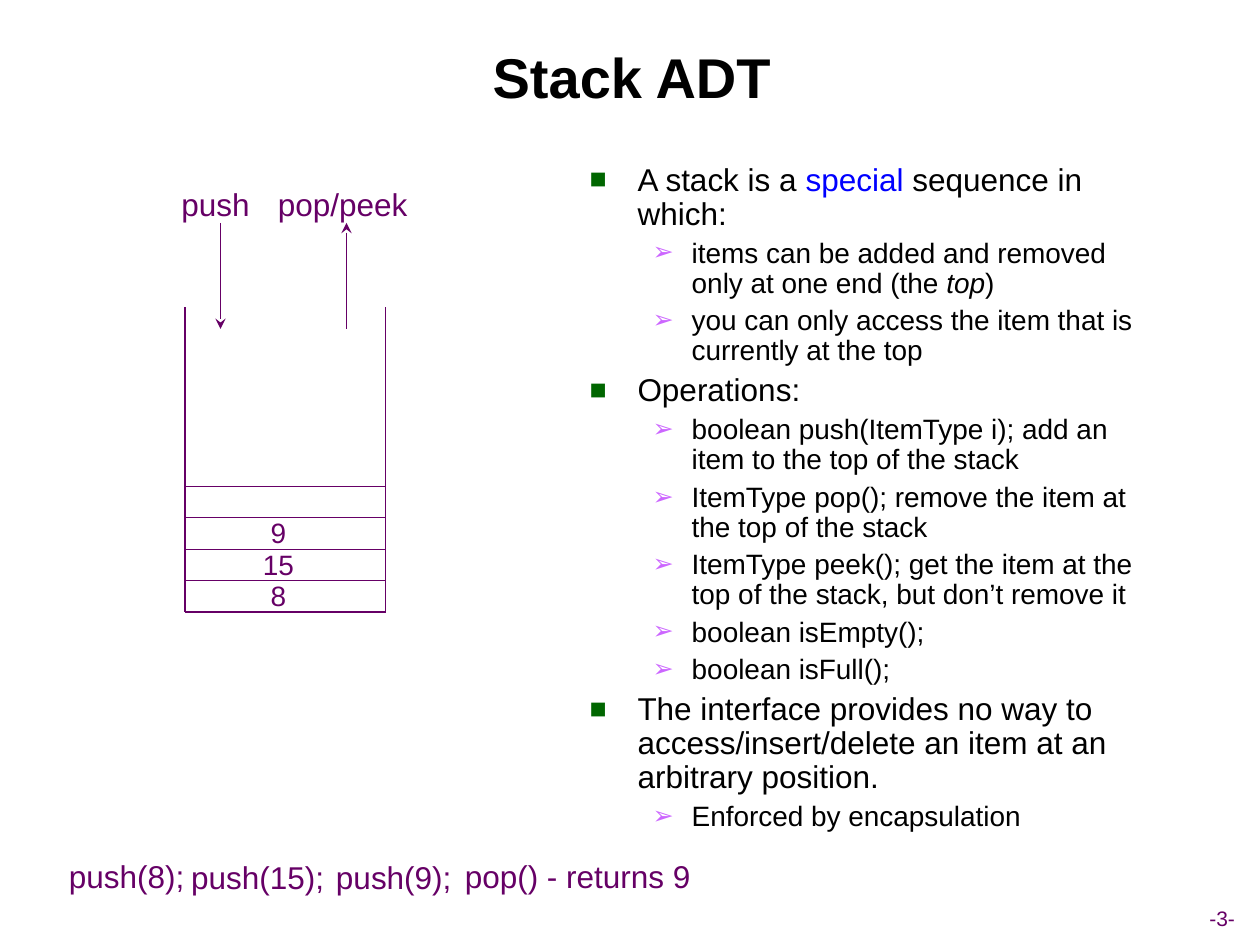
from dataclasses import dataclass

from lxml import etree
from pptx import Presentation
from pptx import util as u
from pptx.dml.color import RGBColor
from pptx.enum import shapes, text
from pptx.oxml.ns import qn


@dataclass(frozen=True)
class Theme:
    font: str = "Arial"
    ink: str = "000000"
    accent: str = "660066"
    special: str = "0000FF"
    bullet_colors: tuple = ("006600", "CC66FF")
    title: int = 32
    body: tuple = (18, 16)
    label: int = 18
    item: int = 16
    page: int = 12
    wall: float = 1
    thin: float = 0.75


THEME = Theme()
BULLETS = ("■", "➢")
MARGINS = (0.38, 0.81)
HANGS = (0.38, 0.31)
SPACES = (4.5, 4)
SLACK = 0.04  # keeps a label's last character from wrapping

# Each entry: level, then runs of (text, format)
POINTS = [
    (0, [("A stack is a ", {}), ("special", {"color": THEME.special}),
         (" sequence in which:", {})]),
    (1, [("items can be added and removed only at one end (the ", {}),
         ("top", {"italic": True}), (")", {})]),
    (1, [("you can only access the item that is currently at the top", {})]),
    (0, [("Operations:", {})]),
    (1, [("boolean push(ItemType i); add an item to the top of the stack", {})]),
    (1, [("ItemType pop(); remove the item at the top of the stack", {})]),
    (1, [("ItemType peek(); get the item at the top of the stack, "
          "but don’t remove it", {})]),
    (1, [("boolean isEmpty();", {})]),
    (1, [("boolean isFull();", {})]),
    (0, [("The interface provides no way to access/insert/delete an item "
          "at an arbitrary position.", {})]),
    (1, [("Enforced by encapsulation", {})]),
]


def place(sp, left, top, width, height):
    sp.left, sp.top = u.Inches(left), u.Inches(top)
    sp.width, sp.height = u.Inches(width), u.Inches(height)


def add_run(p, words, size, color=THEME.ink, bold=False, italic=False):
    r = p.add_run()
    r.text = words
    r.font.name = THEME.font
    r.font.size = u.Pt(size)
    r.font.bold, r.font.italic = bold, italic
    r.font.color.rgb = RGBColor.from_string(color)


def add_label(slide, words, cx, cy, width, height=0.4, size=THEME.label):
    """Unwrapped accent text centred on (cx, cy)."""
    width += SLACK
    sp = slide.shapes.add_textbox(
        u.Inches(cx - width / 2), u.Inches(cy - height / 2),
        u.Inches(width), u.Inches(height))
    tf = sp.text_frame
    tf.word_wrap = False
    tf.auto_size = text.MSO_AUTO_SIZE.SHAPE_TO_FIT_TEXT
    tf.vertical_anchor = text.MSO_ANCHOR.MIDDLE
    p = tf.paragraphs[0]
    p.alignment = text.PP_ALIGN.CENTER
    add_run(p, words, size, THEME.accent)


def add_line(slide, x1, y1, x2, y2, weight=THEME.thin, arrow=None):
    """arrow is None, "headEnd" (at the start) or "tailEnd" (at the end)."""
    line = slide.shapes.add_connector(
        shapes.MSO_CONNECTOR.STRAIGHT,
        *(u.Inches(v) for v in (x1, y1, x2, y2)))
    line.line.color.rgb = RGBColor.from_string(THEME.accent)
    line.line.width = u.Pt(weight)
    sp_pr = line._element.spPr
    if arrow:
        etree.SubElement(sp_pr.find(qn("a:ln")), qn("a:" + arrow), type="stealth")
    etree.SubElement(sp_pr, qn("a:effectLst"))


def set_bullet(p, level):
    p_pr = p._p.get_or_add_pPr()
    p_pr.set("marL", str(u.Inches(MARGINS[level])))
    p_pr.set("indent", str(-u.Inches(HANGS[level])))
    color = etree.SubElement(p_pr, qn("a:buClr"))
    etree.SubElement(color, qn("a:srgbClr"), val=THEME.bullet_colors[level])
    etree.SubElement(p_pr, qn("a:buSzPct"), val="90000")
    etree.SubElement(p_pr, qn("a:buFont"), typeface=THEME.font)
    etree.SubElement(p_pr, qn("a:buChar"), char=BULLETS[level])


def fill_title(slide, words, left, top, width, height):
    sp = slide.shapes.title
    place(sp, left, top, width, height)
    tf = sp.text_frame
    tf.auto_size = text.MSO_AUTO_SIZE.NONE
    tf.vertical_anchor = text.MSO_ANCHOR.MIDDLE
    p = tf.paragraphs[0]
    p.alignment = text.PP_ALIGN.CENTER
    add_run(p, words, THEME.title, bold=True)


def fill_body(slide, points, left, top, width, height):
    sp = slide.placeholders[1]
    place(sp, left, top, width, height)
    tf = sp.text_frame
    tf.auto_size = text.MSO_AUTO_SIZE.NONE
    for i, (level, runs) in enumerate(points):
        p = tf.add_paragraph() if i else tf.paragraphs[0]
        p.level = level
        p.line_spacing = 0.9
        p.space_before, p.space_after = u.Pt(SPACES[level]), u.Pt(0)
        set_bullet(p, level)
        for words, style in runs:
            add_run(p, words, THEME.body[level], **style)


def draw_stack(slide, items, left, top, width, height, cell=0.25):
    """Open-topped container with the items piled up from its bottom."""
    right, bottom = left + width, top + height
    for x in (left, right):
        add_line(slide, x, top, x, bottom, THEME.wall)
    add_line(slide, left, bottom, right, bottom, THEME.wall)
    for i in range(len(items) + 1, 0, -1):
        y = bottom - i * cell
        add_line(slide, left, y, right, y)
    for i, item in enumerate(items):
        add_label(slide, item, left + 0.74, bottom - (i + 0.5) * cell - 0.01,
                  0.2 + 0.13 * len(item), 0.37, THEME.item)

    arrow_top, arrow_bottom = top - 0.67, top + 0.17
    for words, x, label_x, label_width, arrow in (
            ("push", left + 0.28, left + 0.24, 0.74, "tailEnd"),
            ("pop/peek", left + 1.28, left + 1.25, 1.23, "headEnd")):
        add_line(slide, x, arrow_top, x, arrow_bottom, arrow=arrow)
        add_label(slide, words, label_x, arrow_top - 0.15, label_width)


def draw_calls(slide, left, top):
    for words, dx, dy, width in (
            ("push(8);", 0, 0, 1.11), ("push(15);", 0.97, 0.01, 1.25),
            ("push(9);", 2.12, 0.01, 1.11),
            ("pop() - returns 9", 3.14, 0, 1.99)):
        add_label(slide, words, left + dx + width / 2, top + dy + 0.2, width)


def main():
    prs = Presentation()
    prs.slide_width, prs.slide_height = u.Inches(10), u.Inches(7.5)
    slide = prs.slides.add_slide(prs.slide_layouts[1])
    fill_title(slide, "Stack ADT", 0.38, 0.13, 9.27, 0.95)
    fill_body(slide, POINTS, 4.58, 1.25, 4.64, 5.56)
    draw_stack(slide, ["8", "15", "9"], 1.47, 2.44, 1.59, 2.42)
    draw_calls(slide, 0.45, 6.75)
    add_label(slide, "-3-", 9.7, 7.29, 1.07, 0.3, THEME.page)
    prs.save("out.pptx")


if __name__ == "__main__":
    main()
